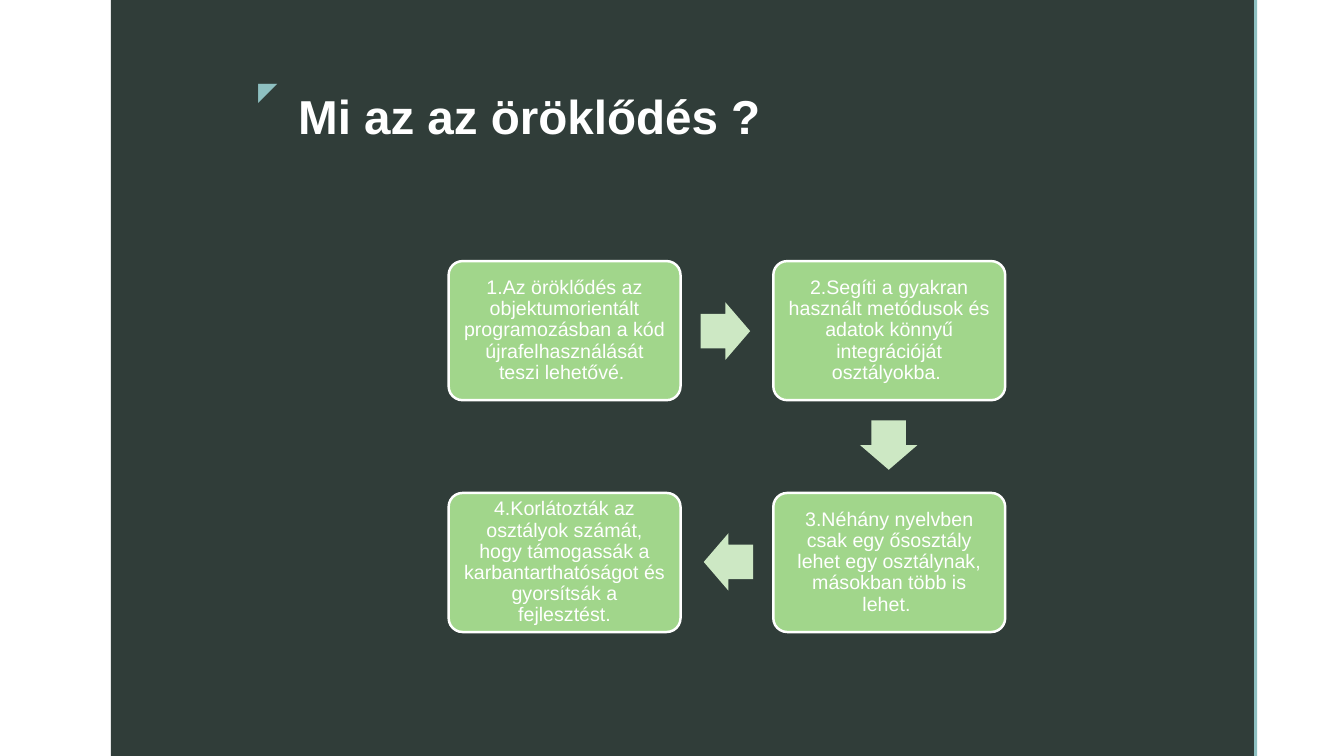
from lxml import etree
from pptx import Presentation
from pptx.dml.color import RGBColor
from pptx.enum import shapes, text
from pptx.oxml import ns
from pptx.util import Inches, Pt

DARK = RGBColor(0x1F, 0x2D, 0x29)
TEAL = RGBColor(0x8E, 0xC0, 0xC1)
GREEN = RGBColor(0xA1, 0xD6, 0x8B)
PALE_GREEN = RGBColor(0xCD, 0xE8, 0xC4)
WHITE = RGBColor(0xFF, 0xFF, 0xFF)

SHAPE = shapes.MSO_SHAPE
ALIGN = text.PP_ALIGN
LEFT_COLUMN, RIGHT_COLUMN = 4.45, 7.67
TOP_ROW, BOTTOM_ROW = 2.59, 4.89
CARD_WIDTH, CARD_HEIGHT = 2.3, 1.38

STEPS = [
    (LEFT_COLUMN, TOP_ROW, "1.Az öröklődés az objektumorientált programozásban "
     "a kód újrafelhasználását teszi lehetővé. "),
    (RIGHT_COLUMN, TOP_ROW, "2.Segíti a gyakran használt metódusok és adatok "
     "könnyű integrációját osztályokba. "),
    (RIGHT_COLUMN, BOTTOM_ROW, "3.Néhány nyelvben csak egy ősosztály lehet egy "
     "osztálynak, másokban több is lehet. "),
    (LEFT_COLUMN, BOTTOM_ROW, "4.Korlátozták az osztályok számát, hogy támogassák "
     "a karbantarthatóságot és gyorsítsák a fejlesztést."),
]
ARROWS = [
    (SHAPE.RIGHT_ARROW, 6.95, 3, 0.49, 0.57),
    (SHAPE.DOWN_ARROW, 8.53, 4.17, 0.57, 0.49),
    (SHAPE.LEFT_ARROW, 6.98, 5.29, 0.49, 0.57),
]


def add_filled(page, kind, left, top, width, height, color):
    shape = page.shapes.add_shape(
        kind, Inches(left), Inches(top), Inches(width), Inches(height))
    shape.shadow.inherit = False
    shape.fill.solid()
    shape.fill.fore_color.rgb = color
    shape.line.fill.background()
    return shape


def set_opacity(shape, percent):
    color = shape.fill._xPr.find(".//" + ns.qn("a:srgbClr"))
    etree.SubElement(color, ns.qn("a:alpha"), val=str(percent * 1000))


def write(frame, words, size, color, align, bold=False):
    frame.word_wrap = True
    frame.text = words
    para = frame.paragraphs[0]
    para.alignment = align
    font = para.runs[0].font
    font.name, font.size, font.bold = "Arial", Pt(size), bold
    font.color.rgb = color
    return para


def add_label(page, left, top, width, height, *style, **options):
    box = page.shapes.add_textbox(
        Inches(left), Inches(top), Inches(width), Inches(height))
    return write(box.text_frame, *style, **options)


def add_step(page, left, top, words):
    card = add_filled(page, SHAPE.ROUNDED_RECTANGLE, left, top,
                      CARD_WIDTH, CARD_HEIGHT, GREEN)
    card.adjustments[0] = 0.1
    card.line.color.rgb = WHITE
    card.line.width = Pt(1.75)
    frame = card.text_frame
    frame.vertical_anchor = text.MSO_ANCHOR.MIDDLE
    frame.margin_left = frame.margin_right = Inches(0.1)
    frame.margin_top = frame.margin_bottom = Inches(0.1)
    para = write(frame, words, 14, WHITE, ALIGN.CENTER)
    para.line_spacing = 0.9
    para.space_after = Pt(6)


def add_arrow(page, kind, left, top, width, height):
    arrow = add_filled(page, kind, left, top, width, height, PALE_GREEN)
    arrow.adjustments[0] = 0.6
    arrow.adjustments[1] = 0.5


def main():
    deck = Presentation()
    deck.slide_width, deck.slide_height = Inches(13.33), Inches(7.5)
    page = deck.slides.add_slide(deck.slide_layouts[6])

    panel = add_filled(page, SHAPE.RECTANGLE, 1.1, 0, 11.34, 7.5, DARK)
    set_opacity(panel, 92)
    add_filled(page, SHAPE.RECTANGLE, 12.44, 0, 0.03, 7.5, TEAL)

    add_label(page, 2.4, 0.7, 0.45, 0.4, "◤", 18, TEAL, ALIGN.RIGHT)
    title = add_label(page, 2.86, 0.88, 8.7, 1.18, "Mi az az öröklődés ?",
                      34, WHITE, ALIGN.LEFT, bold=True)
    title.line_spacing = 0.9

    for step in STEPS:
        add_step(page, *step)
    for arrow in ARROWS:
        add_arrow(page, *arrow)
    deck.save("out.pptx")


if __name__ == "__main__":
    main()
